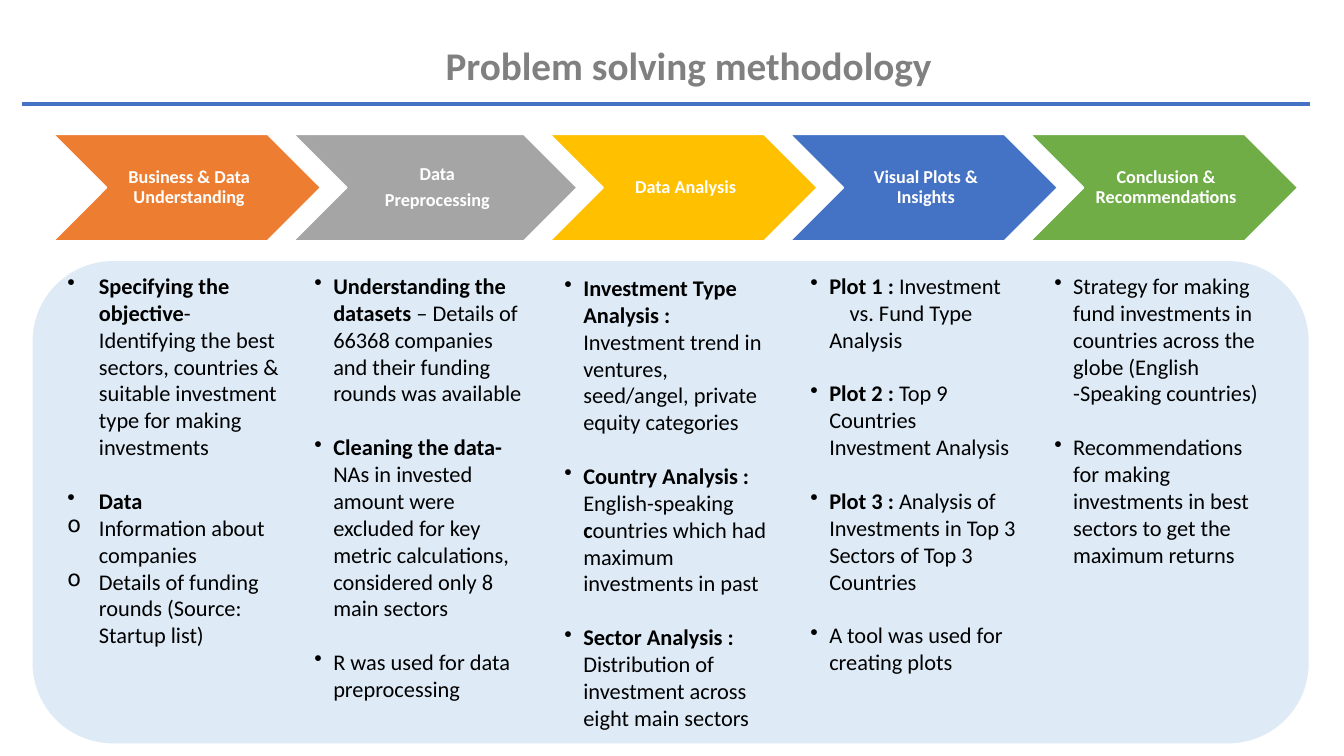
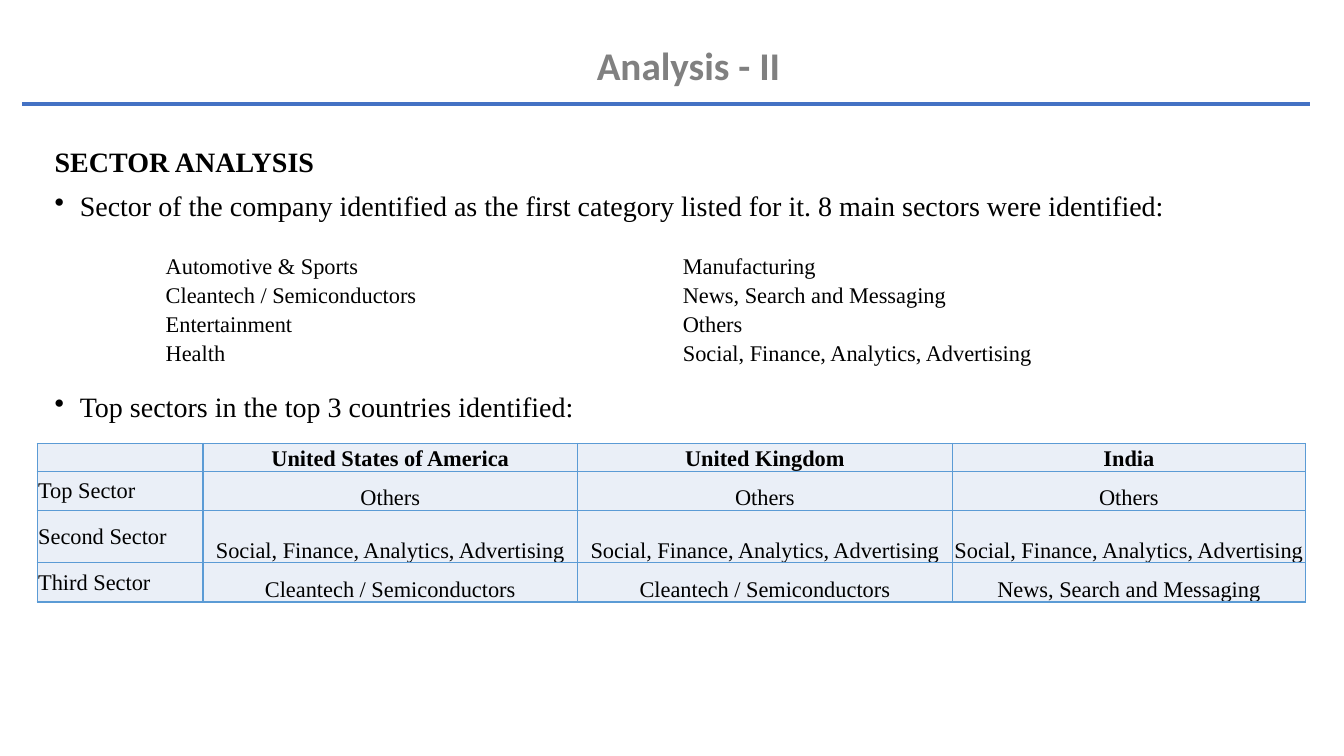
from dataclasses import dataclass

from pptx import Presentation
from pptx.dml.color import RGBColor
from pptx.enum.shapes import MSO_CONNECTOR, MSO_SHAPE
from pptx.enum.text import MSO_ANCHOR, PP_ALIGN
from pptx.oxml.xmlchemy import OxmlElement
from pptx.util import Pt

CHEVRON, ROUNDED = MSO_SHAPE.CHEVRON, MSO_SHAPE.ROUNDED_RECTANGLE
STRAIGHT = MSO_CONNECTOR.STRAIGHT
LEFT, CENTER = PP_ALIGN.LEFT, PP_ALIGN.CENTER
TOP, MIDDLE, BOTTOM = MSO_ANCHOR.TOP, MSO_ANCHOR.MIDDLE, MSO_ANCHOR.BOTTOM


@dataclass(frozen=True)
class Theme:
    sans: str = "Calibri"
    serif: str = "Times New Roman"
    title_size: int = 28
    lead_size: int = 20
    body_size: int = 16
    step_size: int = 13
    black: str = "000000"
    white: str = "FFFFFF"
    gray: str = "808080"
    blue: str = "4472C4"
    panel: str = "DEEBF7"
    cell: str = "EAEFF7"
    border: str = "5B9BD5"
    steps: tuple = ("ED7D31", "A5A5A5", "FFC000", "4472C4", "70AD47")


THEME = Theme()


@dataclass(frozen=True)
class Para:
    """A paragraph; ** switches bold on and off."""
    text: str
    bullet: str = ""
    before: float = 0
    margin: float = 0
    indent: float = 0


GAP = 19.2  # one line of body text

# Each step: label paragraphs and chevron width
STEPS = [
    (["Business & Data Understanding"], 190.8),
    (["Data", "Preprocessing"], 202.3),
    (["Data Analysis"], 190.8),
    (["Visual Plots & Insights"], 190.8),
    (["Conclusion & Recommendations"], 190.8),
]


def item(text, before=GAP, bullet="•", hang=13.5):
    return Para(text, bullet, before, hang, -hang)


# Each column of details: left, top, paragraphs
DETAILS = [
    (48.2, 194.4, [
        item("**Specifying the objective**- Identifying the best sectors, countries & "
             "suitable investment type for making investments", 0, hang=22.5),
        item("**Data**", hang=22.5),
        item("Information about companies", 0, "o", 22.5),
        item("Details of funding rounds (Source: Startup list)", 0, "o", 22.5),
    ]),
    (224.6, 194.4, [
        item("**Understanding the datasets **– Details of 66368 companies and "
             "their funding rounds was available", 0),
        item("**Cleaning the data- **NAs in invested amount were excluded for key "
             "metric calculations, considered only 8 main sectors"),
        item("R was used for data preprocessing"),
    ]),
    (403.2, 195.8, [
        item("**Investment Type Analysis :** Investment trend in ventures, "
             "seed/angel, private equity categories", 0),
        item("**Country Analysis : **English-speaking** c**ountries which had "
             "maximum investments in past"),
        item("**Sector Analysis :** Distribution of investment across eight main sectors"),
    ]),
    (578.9, 194.4, [
        item("**Plot 1 :** Investment", 0),
        Para("vs. Fund Type Analysis", margin=13.5, indent=14.5),
        item("**Plot 2 :** Top 9 Countries Investment Analysis"),
        item("**Plot 3 : **Analysis of Investments in Top 3 Sectors of Top 3 Countries"),
        item("A tool was used for creating plots"),
    ]),
    (753.1, 194.4, [
        item("Strategy for making fund investments in countries across the globe "
             "(English -Speaking countries)", 0),
        item("Recommendations for making investments in best sectors to get the "
             "maximum returns"),
    ]),
]

SECTORS = [
    ["Automotive & Sports", "Manufacturing"],
    ["Cleantech / Semiconductors", "News, Search and Messaging"],
    ["Entertainment", "Others"],
    ["Health", "Social, Finance, Analytics, Advertising"],
]

SOCIAL = "Social, Finance, Analytics, Advertising"
CLEANTECH = "Cleantech / Semiconductors"
TOP_SECTORS = [
    ["", "United States of America", "United Kingdom", "India"],
    ["Top Sector", "Others", "Others", "Others"],
    ["Second Sector", SOCIAL, SOCIAL, SOCIAL],
    ["Third Sector", CLEANTECH, CLEANTECH, "News, Search and Messaging"],
]


def rgb(value):
    return RGBColor.from_string(value)


def child(parent, tag, **attributes):
    element = OxmlElement(tag)
    for key, value in attributes.items():
        element.set(key, str(value))
    parent.append(element)
    return element


def write_text(frame, paragraphs, *, size, font=THEME.sans, color=THEME.black,
               bold=False, align=LEFT, spacing=1.0, after=0):
    """Fill a text frame with strings or Para objects."""
    for number, para in enumerate(paragraphs):
        if isinstance(para, str):
            para = Para(para)
        paragraph = frame.paragraphs[0] if number == 0 else frame.add_paragraph()
        paragraph.alignment = align
        paragraph.line_spacing = spacing
        paragraph.space_before = Pt(para.before)
        paragraph.space_after = Pt(after if number < len(paragraphs) - 1 else 0)
        properties = paragraph._p.get_or_add_pPr()
        properties.set("marL", str(Pt(para.margin)))
        properties.set("indent", str(Pt(para.indent)))
        if para.bullet:
            child(properties, "a:buChar", char=para.bullet)
        for part, words in enumerate(para.text.split("**")):
            if words:
                run = paragraph.add_run()
                run.text = words
                run.font.name = font
                run.font.size = Pt(size)
                run.font.bold = bold or part % 2 == 1
                run.font.color.rgb = rgb(color)
        if not para.text:
            child(paragraph._p, "a:endParaRPr", sz=size * 100)


def set_insets(target, left, top, right, bottom):
    target.margin_left, target.margin_top = Pt(left), Pt(top)
    target.margin_right, target.margin_bottom = Pt(right), Pt(bottom)


def add_text(slide, box, paragraphs, insets=(7.2, 3.6, 7.2, 3.6), **text_format):
    frame = slide.shapes.add_textbox(*map(Pt, box)).text_frame
    frame.word_wrap = True
    set_insets(frame, *insets)
    write_text(frame, paragraphs, **text_format)


def add_block(slide, kind, box, fill, line=None):
    block = slide.shapes.add_shape(kind, *map(Pt, box))
    block.shadow.inherit = False
    block.fill.solid()
    block.fill.fore_color.rgb = rgb(fill)
    if line:
        block.line.color.rgb = rgb(line)
        block.line.width = Pt(1)
    else:
        block.line.fill.background()
    return block


def add_titled_slide(deck, title):
    """Blank slide with the shared title and rule."""
    slide = deck.slides.add_slide(deck.slide_layouts[6])
    add_text(slide, (213.5, 26, 556.6, 41), [title], size=THEME.title_size,
             color=THEME.gray, bold=True, align=CENTER)
    rule = slide.shapes.add_connector(STRAIGHT, Pt(16), Pt(74.2), Pt(936), Pt(74.2))
    rule.line.color.rgb = rgb(THEME.blue)
    rule.line.width = Pt(3)
    child(rule._element.spPr, "a:effectLst")
    return slide


def add_grid(slide, left, top, widths, heights):
    """Table without header row or banding."""
    table = slide.shapes.add_table(len(heights), len(widths), Pt(left), Pt(top),
                                   Pt(sum(widths)), Pt(sum(heights))).table
    table.first_row = table.horz_banding = False
    for column, width in zip(table.columns, widths):
        column.width = Pt(width)
    for row, height in zip(table.rows, heights):
        row.height = Pt(height)
    return table


def set_borders(cell, color):
    properties = cell._tc.get_or_add_tcPr()
    for position, side in enumerate(("a:lnL", "a:lnR", "a:lnT", "a:lnB")):
        border = OxmlElement(side)
        border.set("w", str(Pt(1)))
        child(child(border, "a:solidFill"), "a:srgbClr", val=color)
        properties.insert(position, border)


def fill_cell(cell, text, insets, anchor=TOP, fill=None, **text_format):
    set_insets(cell, *insets)
    cell.vertical_anchor = anchor
    if fill:
        cell.fill.solid()
        cell.fill.fore_color.rgb = rgb(fill)
    else:
        cell.fill.background()
    write_text(cell.text_frame, [text], size=THEME.body_size, font=THEME.serif,
               **text_format)


def build_methodology(deck):
    slide = add_titled_slide(deck, "Problem solving methodology")

    # Row of process steps
    left, overlap = 38.2, 19.2
    for (labels, width), color in zip(STEPS, THEME.steps):
        step = add_block(slide, CHEVRON, (left, 96, width, 76), color, THEME.white)
        frame = step.text_frame
        frame.word_wrap = True
        frame.vertical_anchor = MIDDLE
        set_insets(frame, 4.2, 1.4, 1.4, 1.4)
        write_text(frame, labels, size=THEME.step_size, color=THEME.white, bold=True,
                   align=CENTER, spacing=0.9, after=4.5)
        left += width - overlap

    # Details below the steps
    add_block(slide, ROUNDED, (23.3, 186.5, 911.5, 344.5), THEME.panel)
    for left, top, paragraphs in DETAILS:
        add_text(slide, (left, top, 151.2, 330), paragraphs, insets=(0, 0, 0, 0),
                 size=THEME.body_size)


def build_sector_analysis(deck):
    slide = add_titled_slide(deck, "Analysis - II")

    # Statements
    add_text(slide, (31.9, 102.2, 879, 342), [
        "**SECTOR ANALYSIS**",
        item("Sector of the company identified as the first category listed for it. "
             "8 main sectors were identified:", 10, hang=18),
        item("Top sectors in the top 3 countries identified:", 122, hang=18),
    ], size=THEME.lead_size, font=THEME.serif, spacing=0.9)

    # List of main sectors
    sectors = add_grid(slide, 113, 180.7, [369.4, 340.6], [19.1] * len(SECTORS))
    for row, names in enumerate(SECTORS):
        for column, name in enumerate(names):
            fill_cell(sectors.cell(row, column), name, (5.4, 0, 5.4, 0), spacing=1.07)

    # Top sectors by country
    ranking = add_grid(slide, 26.6, 316.8, [118.4, 267.6, 267.6, 252.4],
                       [18.9, 28, 37.4, 28])
    for row, names in enumerate(TOP_SECTORS):
        for column, name in enumerate(names):
            cell = ranking.cell(row, column)
            fill_cell(cell, name, (0.7, 0.7, 0.7, 0), fill=THEME.cell, bold=row == 0,
                      anchor=BOTTOM if column else MIDDLE,
                      align=CENTER if column else LEFT)
            set_borders(cell, THEME.border)


def main():
    deck = Presentation()
    deck.slide_width, deck.slide_height = Pt(960), Pt(540)
    build_methodology(deck)
    build_sector_analysis(deck)
    deck.save("out.pptx")


if __name__ == "__main__":
    main()
